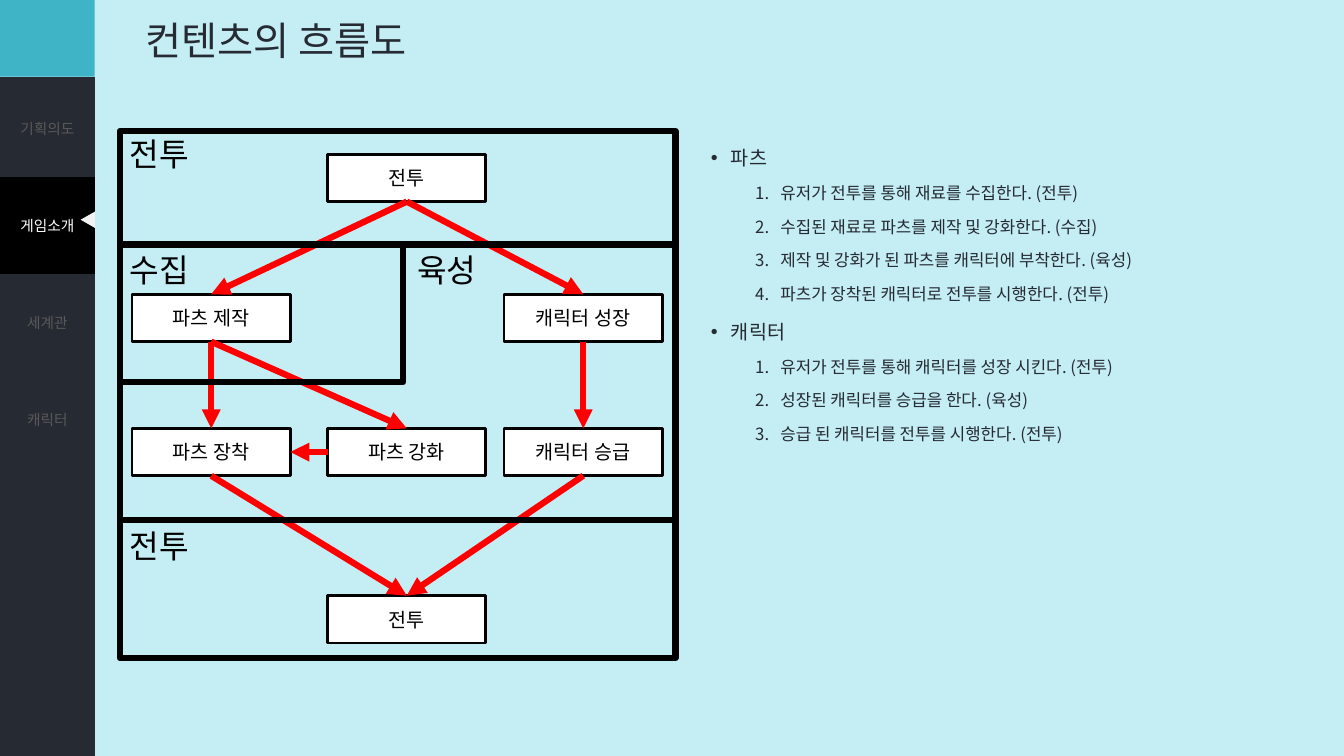
from lxml import etree
from pptx import Presentation
from pptx.dml.color import RGBColor
from pptx.enum.shapes import MSO_CONNECTOR, MSO_SHAPE
from pptx.enum.text import MSO_ANCHOR, MSO_AUTO_SIZE, PP_ALIGN
from pptx.oxml.ns import qn
from pptx.util import Inches, Pt

RECTANGLE, TRIANGLE = MSO_SHAPE.RECTANGLE, MSO_SHAPE.ISOSCELES_TRIANGLE
STRAIGHT = MSO_CONNECTOR.STRAIGHT
MIDDLE, TOP_ANCHOR = MSO_ANCHOR.MIDDLE, MSO_ANCHOR.TOP
CENTER, LEFT_ALIGN = PP_ALIGN.CENTER, PP_ALIGN.LEFT
NO_AUTOFIT = MSO_AUTO_SIZE.NONE
TOP, LEFT, BOTTOM, RIGHT = range(4)

FONT = "Noto Sans CJK KR"
BLACK = RGBColor(0x00, 0x00, 0x00)
WHITE = RGBColor(0xFF, 0xFF, 0xFF)
RED = RGBColor(0xFF, 0x00, 0x00)
TEAL = RGBColor(0x3E, 0xB4, 0xC6)
PALE_BLUE = RGBColor(0xC4, 0xED, 0xF4)
DARK = RGBColor(0x26, 0x2A, 0x33)
GRAY = RGBColor(0x59, 0x59, 0x59)
LIGHT = RGBColor(0xF2, 0xF2, 0xF2)

SLIDE_WIDTH, SLIDE_HEIGHT = 13.33, 7.5
MENU = ["기획의도", "게임소개", "세계관", "캐릭터", "", "", ""]
ACTIVE_MENU = "게임소개"
SIDEBAR_WIDTH = 0.94

STEP_SIZE = (1.57, 0.47)
STEPS = {
    "battle_start": ("전투", 3.25, 1.53),
    "part_craft": ("파츠 제작", 1.31, 2.92),
    "part_upgrade": ("파츠 강화", 3.25, 4.25),
    "part_equip": ("파츠 장착", 1.31, 4.25),
    "battle_end": ("전투", 3.25, 5.91),
    "hero_promote": ("캐릭터 승급", 5, 4.25),
    "hero_grow": ("캐릭터 성장", 5, 2.92),
}
FLOWS = [
    ("battle_start", BOTTOM, "part_craft", TOP),
    ("battle_start", BOTTOM, "hero_grow", TOP),
    ("part_craft", BOTTOM, "part_equip", TOP),
    ("part_craft", BOTTOM, "part_upgrade", TOP),
    ("part_upgrade", LEFT, "part_equip", RIGHT),
    ("hero_grow", BOTTOM, "hero_promote", TOP),
    ("part_equip", BOTTOM, "battle_end", TOP),
    ("hero_promote", BOTTOM, "battle_end", TOP),
]
STAGES = [
    (1.19, 1.3, 5.51, 1.13),
    (1.19, 2.42, 2.81, 1.37),
    (1.19, 2.42, 5.51, 2.74),
    (1.19, 5.16, 5.51, 1.37),
]
STAGE_LABELS = [
    ("전투", 1.19, 1.28),
    ("수집", 1.19, 2.43),
    ("육성", 4.04, 2.43),
    ("전투", 1.19, 5.17),
]
OUTLINE = [
    ("파츠", [
        "유저가 전투를 통해 재료를 수집한다. (전투)",
        "수집된 재료로 파츠를 제작 및 강화한다. (수집)",
        "제작 및 강화가 된 파츠를 캐릭터에 부착한다. (육성)",
        "파츠가 장착된 캐릭터로 전투를 시행한다. (전투)",
    ]),
    ("캐릭터", [
        "유저가 전투를 통해 캐릭터를 성장 시킨다. (전투)",
        "성장된 캐릭터를 승급을 한다. (육성)",
        "승급 된 캐릭터를 전투를 시행한다. (전투)",
    ]),
]


def set_values(target, values):
    for attribute, value in values.items():
        setattr(target, attribute, value)


def place(part, left, top, width, height):
    set_values(part, {"left": Inches(left), "top": Inches(top),
                      "width": Inches(width), "height": Inches(height)})


def write(paragraph, text, size, color, align=LEFT_ALIGN):
    paragraph.alignment = align
    run = paragraph.add_run()
    run.text = text
    set_values(run.font, {"name": FONT, "size": Pt(size), "bold": False})
    run.font.color.rgb = color
    run.font._element.set("kern", "0")
    etree.SubElement(run.font._element, qn("a:ea"), typeface=FONT)


def add_block(slide, kind, box, fill=None, line=None, weight=0):
    block = slide.shapes.add_shape(kind, *map(Inches, box))
    block.shadow.inherit = False
    if fill is None:
        block.fill.background()
    else:
        block.fill.solid()
        block.fill.fore_color.rgb = fill
    if line is None:
        block.line.fill.background()
    else:
        block.line.color.rgb = line
        block.line.width = Pt(weight)
    return block


def add_menu(slide, top, entries):
    box = map(Inches, (0, top, SIDEBAR_WIDTH, 6.74))
    menu = slide.shapes.add_table(len(entries), 1, *box).table
    set_values(menu, {"first_row": False, "horz_banding": False})
    for row, entry in enumerate(entries):
        active = entry == ACTIVE_MENU
        cell = menu.cell(row, 0)
        cell.vertical_anchor = MIDDLE
        cell.fill.solid()
        cell.fill.fore_color.rgb = BLACK if active else DARK
        for side in ("a:lnL", "a:lnR", "a:lnT", "a:lnB"):
            border = etree.Element(qn(side), w="0")
            etree.SubElement(border, qn("a:noFill"))
            cell.fill._xPr.find(qn("a:solidFill")).addprevious(border)
        if entry:
            write(cell.text_frame.paragraphs[0], entry, 10.5, WHITE if active else GRAY, CENTER)


def add_sidebar(slide):
    add_menu(slide, 0.76, [""] * len(MENU))
    add_block(slide, RECTANGLE, (0, 0, SIDEBAR_WIDTH, 0.76), TEAL)
    add_menu(slide, 0.79, MENU)
    pointer = add_block(slide, TRIANGLE, (0.79, 2.11, 0.16, 0.14), LIGHT)
    pointer.rotation = 270


def add_title(slide):
    title = slide.shapes.title
    place(title, 1.34, 0.01, 11.32, 0.74)
    set_values(title.text_frame, {"vertical_anchor": MIDDLE, "auto_size": NO_AUTOFIT,
                                  "margin_top": Inches(0.08)})
    write(title.text_frame.paragraphs[0], "컨텐츠의 흐름도", 28, DARK)


def add_item(paragraph, text, level, size, margin, indent, bullet, **marker):
    set_values(paragraph, {"level": level, "line_spacing": 1.5, "space_before": Pt(size * 0.2)})
    write(paragraph, text, size, DARK)
    properties = paragraph._p.get_or_add_pPr()
    properties.set("marL", str(Inches(margin)))
    properties.set("indent", str(Inches(indent)))
    etree.SubElement(properties, qn(bullet), **marker)


def add_outline(slide):
    body = slide.placeholders[1]
    place(body, 6.95, 1.28, 6.18, 5.54)
    frame = body.text_frame
    set_values(frame, {"vertical_anchor": TOP_ANCHOR, "auto_size": NO_AUTOFIT, "word_wrap": True})
    for number, (topic, details) in enumerate(OUTLINE):
        paragraph = frame.add_paragraph() if number else frame.paragraphs[0]
        add_item(paragraph, topic, 0, 14, 0.2, -0.2, "a:buChar", char="•")
        for detail in details:
            add_item(frame.add_paragraph(), detail, 1, 12, 0.69, -0.25,
                     "a:buAutoNum", type="arabicPeriod")


def add_step(slide, text, left, top):
    step = add_block(slide, RECTANGLE, (left, top, *STEP_SIZE), WHITE, BLACK, 2)
    step.text_frame.vertical_anchor = MIDDLE
    write(step.text_frame.paragraphs[0], text, 14, BLACK, CENTER)
    return step


def add_flow(slide, source, source_side, target, target_side):
    arrow = slide.shapes.add_connector(STRAIGHT, 0, 0, 0, 0)
    arrow.begin_connect(source, source_side)
    arrow.end_connect(target, target_side)
    arrow.line.color.rgb = RED
    arrow.line.width = Pt(4.5)
    etree.SubElement(arrow.line._get_or_add_ln(), qn("a:tailEnd"), type="triangle")
    etree.SubElement(arrow._element.spPr, qn("a:effectLst"))


def add_stage_label(slide, text, left, top):
    label = slide.shapes.add_textbox(*map(Inches, (left, top, 0.85, 0.49)))
    label.text_frame.word_wrap = False
    write(label.text_frame.paragraphs[0], text, 23, BLACK)


def add_flowchart(slide):
    steps = {key: add_step(slide, *step) for key, step in STEPS.items()}
    for source, source_side, target, target_side in FLOWS:
        add_flow(slide, steps[source], source_side, steps[target], target_side)
    for stage in STAGES:
        add_block(slide, RECTANGLE, stage, line=BLACK, weight=4.5)
    for label in STAGE_LABELS:
        add_stage_label(slide, *label)


def main():
    deck = Presentation()
    set_values(deck, {"slide_width": Inches(SLIDE_WIDTH), "slide_height": Inches(SLIDE_HEIGHT)})
    slide = deck.slides.add_slide(deck.slide_layouts[1])
    add_block(slide, RECTANGLE, (0, 0, SLIDE_WIDTH, SLIDE_HEIGHT), PALE_BLUE)
    add_sidebar(slide)
    for placeholder in slide.placeholders:
        slide.shapes._spTree.append(placeholder._element)
    add_title(slide)
    add_outline(slide)
    add_flowchart(slide)
    deck.save("out.pptx")


if __name__ == "__main__":
    main()
